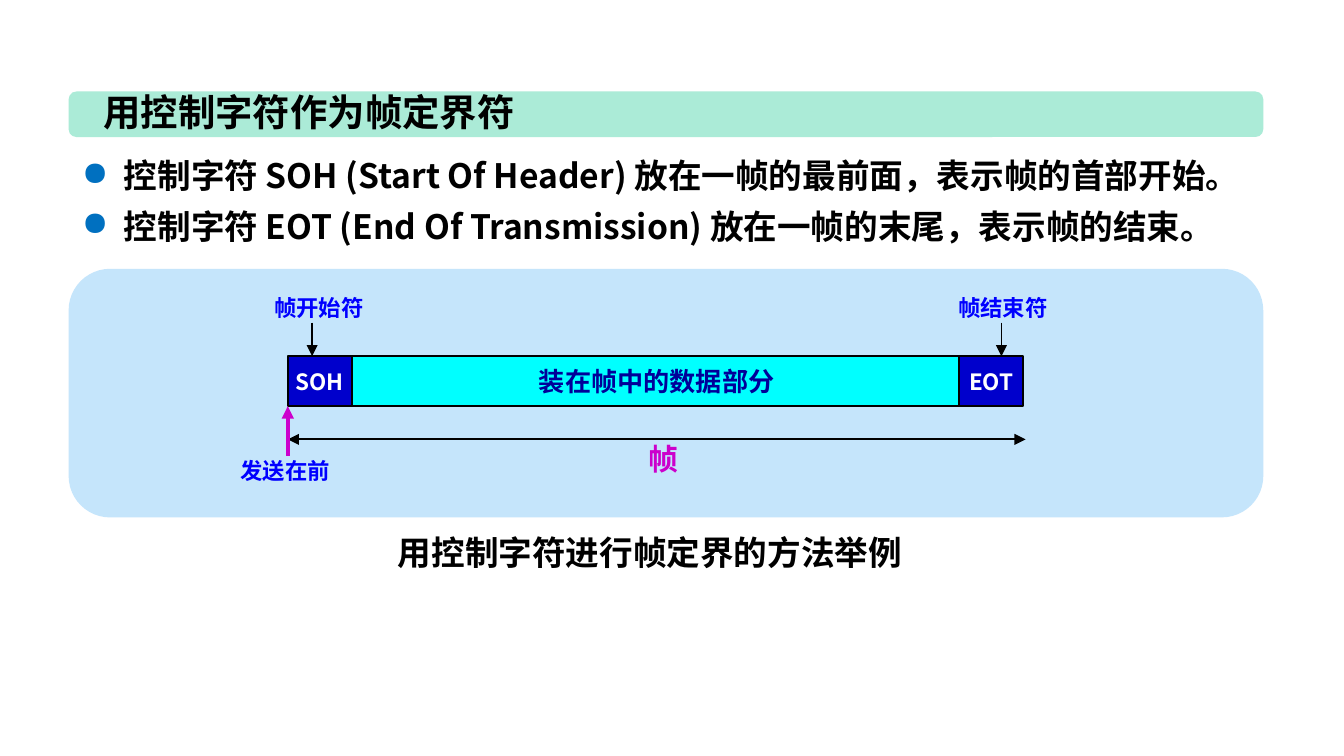
import pptx
import pptx.dml.color
import pptx.enum.shapes
import pptx.enum.text
import pptx.oxml
import pptx.oxml.ns
import pptx.util

Pt = pptx.util.Pt
RGBColor = pptx.dml.color.RGBColor
SHAPE = pptx.enum.shapes.MSO_SHAPE
STRAIGHT = pptx.enum.shapes.MSO_CONNECTOR.STRAIGHT
ALIGN = pptx.enum.text.PP_ALIGN
ANCHOR = pptx.enum.text.MSO_ANCHOR
AUTO_SIZE = pptx.enum.text.MSO_AUTO_SIZE

FONT = "Noto Sans CJK SC"
BLACK = RGBColor(0x00, 0x00, 0x00)
WHITE = RGBColor(0xFF, 0xFF, 0xFF)
MINT = RGBColor(0xAB, 0xEB, 0xD7)
PALE_BLUE = RGBColor(0xC5, 0xE5, 0xFB)
BULLET_BLUE = RGBColor(0x00, 0x70, 0xC0)
CYAN = RGBColor(0x00, 0xFF, 0xFF)
NAVY = RGBColor(0x00, 0x00, 0x99)
CONTROL_BLUE = RGBColor(0x00, 0x00, 0xCC)
LABEL_BLUE = RGBColor(0x00, 0x00, 0xFF)
MAGENTA = RGBColor(0xCC, 0x00, 0xCC)


def xml_element(tag, **attributes):
    element = pptx.oxml.parse_xml(f"<a:{tag} {pptx.oxml.ns.nsdecls('a')}/>")
    for name, value in attributes.items():
        element.set(name, value)
    return element


def write(paragraph, text, size, color, align=ALIGN.LEFT):
    paragraph.alignment = align
    run = paragraph.add_run()
    run.text = text
    for name, value in {"size": Pt(size), "bold": True, "name": FONT}.items():
        setattr(run.font, name, value)
    run.font.color.rgb = color
    # East Asian glyphs take their own typeface entry
    run.font._element.find(pptx.oxml.ns.qn("a:latin")).addnext(
        xml_element("ea", typeface=FONT))


def add_text_box(slide, box, wrap=False):
    frame = slide.shapes.add_textbox(*map(Pt, box)).text_frame
    for name, value in {"word_wrap": wrap,
                        "auto_size": AUTO_SIZE.SHAPE_TO_FIT_TEXT}.items():
        setattr(frame, name, value)
    return frame


def add_label(slide, box, text, size, color, align=ALIGN.CENTER, wrap=False):
    frame = add_text_box(slide, box, wrap)
    write(frame.paragraphs[0], text, size, color, align)


def add_block(slide, kind, box, fill, outlined=False):
    block = slide.shapes.add_shape(kind, *map(Pt, box))
    block.shadow.inherit = False
    block.fill.solid()
    block.fill.fore_color.rgb = fill
    if outlined:
        block.line.color.rgb = BLACK
        block.line.width = Pt(1)
    else:
        block.line.fill.background()
    return block


def add_arrow(slide, start, end, color=BLACK, width=1, both_ends=False):
    arrow = slide.shapes.add_connector(STRAIGHT, *map(Pt, start + end))
    arrow.line.color.rgb = color
    arrow.line.width = Pt(width)
    line = arrow.line._get_or_add_ln()
    if both_ends:
        line.append(xml_element("headEnd", type="triangle"))
    line.append(xml_element("tailEnd", type="triangle"))
    arrow._element.spPr.append(xml_element("effectLst"))


def add_title(slide, left, top, width, height):
    band = add_block(slide, SHAPE.ROUNDED_RECTANGLE,
                     (left, top, width, height), MINT)
    band.adjustments[0] = 0.17
    add_label(slide, (left + 11.5, top - 5, 237, 31.7),
              "用控制字符作为帧定界符", 20, BLACK, ALIGN.LEFT)


def add_bullets(slide, left, top, width, height):
    frame = add_text_box(slide, (left, top, width, height), wrap=True)
    points = ("控制字符 SOH (Start Of Header) 放在一帧的最前面，表示帧的首部开始。",
              "控制字符 EOT (End Of Transmission) 放在一帧的末尾，表示帧的结束。")
    for index, point in enumerate(points):
        paragraph = frame.add_paragraph() if index else frame.paragraphs[0]
        properties = paragraph._p.get_or_add_pPr()
        properties.set("marL", str(Pt(22.5)))
        properties.set("indent", str(-Pt(22.5)))
        bullet_color = xml_element("buClr")
        bullet_color.append(xml_element("srgbClr", val=str(BULLET_BLUE)))
        properties.append(bullet_color)
        properties.append(xml_element("buChar", char="●"))
        paragraph.line_spacing = Pt(27)
        write(paragraph, point, 18, BLACK)


def add_frame_diagram(slide, left, top, width, height):
    add_block(slide, SHAPE.ROUNDED_RECTANGLE,
              (left, top, width, height), PALE_BLUE)

    # Frame: data field between two control characters
    frame_left, frame_top = left + 117.4, top + 46.8
    frame_width, frame_height, control_width = 394, 26.8, 34.4
    frame_right = frame_left + frame_width
    frame_bottom = frame_top + frame_height
    fields = (
        (frame_left + 26, 343.4, CYAN, "装在帧中的数据部分", 14, NAVY),
        (frame_left, control_width, CONTROL_BLUE, "SOH", 12, WHITE),
        (frame_right - control_width, control_width, CONTROL_BLUE, "EOT", 12, WHITE),
    )
    for field_left, field_width, fill, text, size, color in fields:
        field = add_block(slide, SHAPE.RECTANGLE,
                          (field_left, frame_top, field_width, frame_height),
                          fill, outlined=True)
        for name, value in {"word_wrap": False,
                            "vertical_anchor": ANCHOR.MIDDLE}.items():
            setattr(field.text_frame, name, value)
        write(field.text_frame.paragraphs[0], text, size, color, ALIGN.CENTER)

    # Delimiter labels with their arrows
    for text, label_left, arrow_x in (
            ("帧开始符", frame_left - 15.1, frame_left + 13),
            ("帧结束符", frame_right - 42.6, frame_right - 11.7)):
        add_label(slide, (label_left, top + 10.1, 63.4, 21.6),
                  text, 12, LABEL_BLUE)
        add_arrow(slide, (arrow_x, frame_top - 18), (arrow_x, frame_top))

    # Length of the whole frame
    span_y = frame_bottom + 17.8
    add_arrow(slide, (frame_left, span_y), (frame_right + 1.2, span_y),
              both_ends=True)
    add_label(slide, (frame_left + 185.7, span_y - 2.9, 31, 26.6),
              "帧", 16, MAGENTA)

    # Sending order
    add_arrow(slide, (frame_left, frame_bottom + 26.5),
              (frame_left, frame_bottom), MAGENTA, 2.25)
    add_label(slide, (frame_left - 33.1, frame_bottom + 23.6, 63.4, 21.6),
              "发送在前", 12, LABEL_BLUE)


def add_caption(slide, left, top, width, height):
    add_label(slide, (left, top, width, height),
              "用控制字符进行帧定界的方法举例", 18, BLACK, wrap=True)


def main():
    presentation = pptx.Presentation()
    presentation.slide_width = Pt(720)
    presentation.slide_height = Pt(405)
    slide = presentation.slides.add_slide(presentation.slide_layouts[6])

    left, width = 36.8, 640
    add_frame_diagram(slide, left, 144, width, 133.2)
    add_title(slide, left, 49, width, 24.4)
    add_bullets(slide, left, 74.2, width, 59)
    add_caption(slide, 206, 281.5, 284.4, 28.8)

    presentation.save("out.pptx")


if __name__ == "__main__":
    main()
